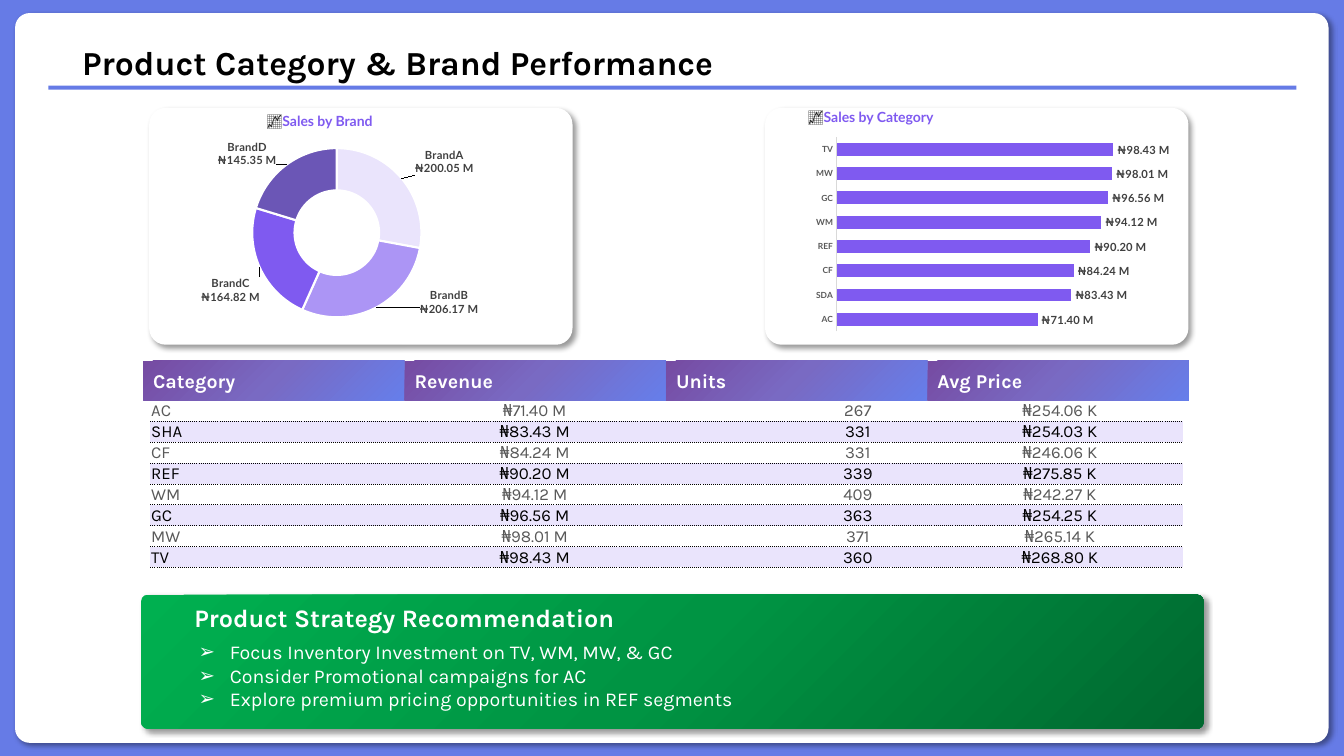
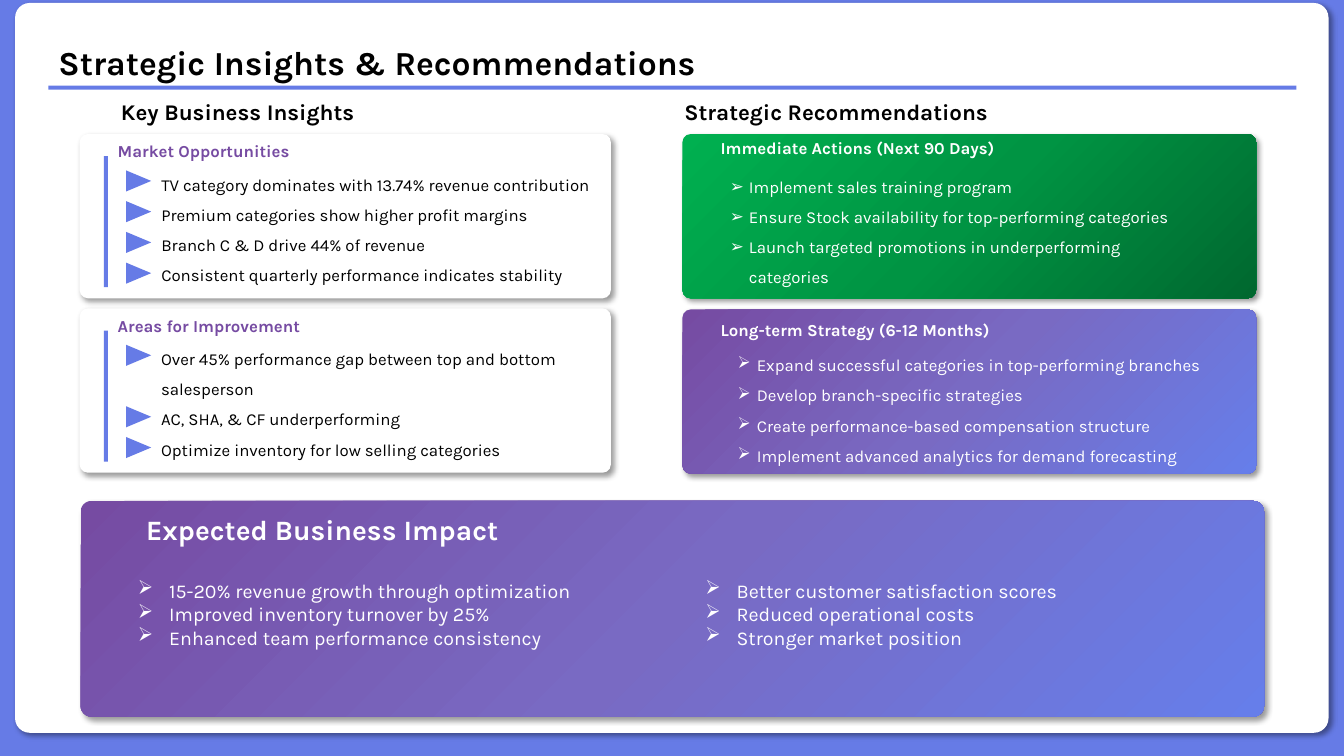
from copy import deepcopy

from pptx import Presentation
from pptx.chart.data import CategoryChartData
from pptx.dml.color import RGBColor
from pptx.enum.chart import XL_CHART_TYPE, XL_LABEL_POSITION, XL_TICK_MARK
from pptx.enum.shapes import MSO_SHAPE
from pptx.enum.text import MSO_ANCHOR, MSO_AUTO_SIZE, PP_ALIGN
from pptx.oxml import parse_xml
from pptx.oxml.ns import nsdecls, qn
from pptx.util import Inches, Pt

color_of = RGBColor.from_string
BLUE, WHITE, BLACK = "667BE6", "FFFFFF", "000000"
VIOLET, PLUM, LILAC = "7F5AF0", "764BA2", "EAE4FC"
GREY, DARK_GREY, PALE_GREY = "595959", "404040", "D9D9D9"
PURPLE_BLEND = (PLUM, "796AC3", "667EEA")
GREEN_BLEND = ("00B050", "009443", "00682F")
NAIRA = '"₦"#,##0.00,,\\ "M"'

deck = Presentation()
deck.slide_width, deck.slide_height = Inches(13.333), Inches(7.5)
cell_size = deck.slide_height / 75


def panel(page, kind, area, fill, corner=None, shadow=False):
    shape = page.shapes.add_shape(kind, *[round(n * cell_size) for n in area])
    shape.shadow.inherit = False
    shape.line.fill.background()
    if corner is not None:
        shape.adjustments[0] = corner
    properties = shape._element.spPr
    if isinstance(fill, str):
        shape.fill.solid()
        shape.fill.fore_color.rgb = color_of(fill)
    else:
        stops = "".join(
            f'<a:gs pos="{i * 50000}"><a:srgbClr val="{stop}"/></a:gs>'
            for i, stop in enumerate(fill))
        properties.insert(2, parse_xml(
            f'<a:gradFill {nsdecls("a")} rotWithShape="1"><a:gsLst>{stops}</a:gsLst>'
            '<a:lin ang="2700000" scaled="0"/></a:gradFill>'))
    if shadow:
        properties.find(qn("a:effectLst")).append(parse_xml(
            f'<a:outerShdw {nsdecls("a")} blurRad="50800" dist="38100" dir="2700000" '
            'algn="tl" rotWithShape="0"><a:srgbClr val="000000">'
            '<a:alpha val="40000"/></a:srgbClr></a:outerShdw>'))
    return shape


def write(page, area, lines, size, color, bold=False, box=None, font="Karla",
          spacing=1.0, indent=0, align=PP_ALIGN.LEFT, anchor=MSO_ANCHOR.TOP):
    if box is None:
        box = page.shapes.add_textbox(0, 0, 0, 0)
    box.left, box.top, box.width, box.height = [round(n * cell_size) for n in area]
    box._element.getparent().append(box._element)
    frame = box.text_frame
    frame.text = "\n".join(lines)
    frame.word_wrap = True
    frame.auto_size = MSO_AUTO_SIZE.NONE
    frame.vertical_anchor = anchor
    for para in frame.paragraphs:
        para.alignment = align
        para.line_spacing = spacing
        para.space_before = para.space_after = Pt(0)
        margins = para._p.get_or_add_pPr()
        margins.set("marL", str(round(indent * cell_size)))
        margins.set("indent", str(round(-indent * cell_size)))
        bullet = '<a:buChar {} char="➢"/>' if indent else "<a:buNone {}/>"
        margins.append(parse_xml(bullet.format(nsdecls("a"))))
        for span in para.runs:
            span.font.name, span.font.size, span.font.bold = font, Pt(size), bold
            span.font.color.rgb = color_of(color)
    return box


backdrop = deck.slide_master.background.fill
backdrop.solid()
backdrop.fore_color.rgb = color_of(BLUE)

pages = []
for layout, title, title_width, card_top in (
        (1, "Product Category & Brand Performance", 72.9, 1.3),
        (4, "Strategic Insights & Recommendations", 68.8, 0.3)):
    page = deck.slides.add_slide(deck.slide_layouts[layout])
    panel(page, MSO_SHAPE.ROUNDED_RECTANGLE, (1.5, card_top, 130.3, 72.4), WHITE, 0.02, True)
    write(page, (3, 2.8, title_width, 5.9), [title], 24, BLACK, True, page.shapes.title,
          spacing=0.9, align=PP_ALIGN.CENTER, anchor=MSO_ANCHOR.BOTTOM)
    panel(page, MSO_SHAPE.RECTANGLE, (4.8, 8.5, 123.8, 0.4), BLUE)
    pages.append(page)
performance, strategy = pages

brands = {"BrandA": 200050000, "BrandB": 206170000, "BrandC": 164820000, "BrandD": 145350000}
categories = {"AC": 71400000, "SDA": 83430000, "CF": 84240000, "REF": 90200000,
              "WM": 94120000, "GC": 96560000, "MW": 98010000, "TV": 98430000}
charts = []
for kind, values, card_left, chart_area, plot_box, title, title_area in (
        (XL_CHART_TYPE.DOUGHNUT, brands, 14.8, (16.1, 12.3, 34.3, 21.8),
         (0.26, 0.11, 0.49, 0.77), "Sales by Brand", (25.5, 10.5, 15.5, 2.8)),
        (XL_CHART_TYPE.BAR_CLUSTERED, categories, 75.9, (76.5, 12.3, 40.8, 21.9),
         (0.16, 0.06, 0.82, 0.88), "Sales by Category", (79.2, 10.1, 17, 2.8))):
    panel(performance, MSO_SHAPE.ROUNDED_RECTANGLE, (card_left, 10.7, 42, 23.5), WHITE, 0.07, True)
    data = CategoryChartData()
    data.categories = list(values)
    data.add_series("Series 1", list(values.values()))
    chart = performance.shapes.add_chart(
        kind, *[round(n * cell_size) for n in chart_area], data).chart
    chart.has_title = chart.has_legend = False
    chart.font.name, chart.font.size = "Lato", Pt(10)
    chart.font.color.rgb = color_of(BLACK)
    plot_area = chart._chartSpace.chart.plotArea
    for old_layout in plot_area.findall(qn("c:layout")):
        plot_area.remove(old_layout)
    sides = "".join(f'<c:{side} val="{share}"/>' for side, share in zip("xywh", plot_box))
    plot_area.insert(0, parse_xml(
        f'<c:layout {nsdecls("c")}><c:manualLayout><c:layoutTarget val="inner"/>'
        f'<c:xMode val="edge"/><c:yMode val="edge"/>{sides}</c:manualLayout></c:layout>'))
    labels = chart.plots[0].series[0].data_labels
    labels.show_value = True
    labels.number_format, labels.number_format_is_linked = NAIRA, False
    labels.font.name, labels.font.size, labels.font.bold = "Lato", Pt(8), True
    labels.font.color.rgb = color_of(DARK_GREY)
    charts.append(chart)
    caption = write(performance, title_area, ["📈"], 11, BLACK, True, font="Lato")
    span = caption.text_frame.paragraphs[0].add_run()
    span.text = title
    span.font.name, span.font.size, span.font.bold = "Lato", Pt(10), True
    span.font.color.rgb = color_of(VIOLET)

doughnut, bars = charts
ring = doughnut.plots[0]
ring.vary_by_categories = True
ring._element.find(qn("c:holeSize")).set("val", "60")
for i, color in enumerate((LILAC, "AC95F5", VIOLET, "6B56B6")):
    slice_format = ring.series[0].points[i].format
    slice_format.fill.solid()
    slice_format.fill.fore_color.rgb = color_of(color)
    slice_format.line.color.rgb = color_of(WHITE)
    slice_format.line.width = Pt(1.5)
ring_labels = ring.series[0].data_labels
ring_labels.show_category_name = True
label_list = ring_labels._element
label_list.find(qn("c:showBubbleSize")).addnext(
    parse_xml(f'<c:separator {nsdecls("c")}>\n</c:separator>'))
label_parts = [part for part in label_list if part.tag != qn("c:showLeaderLines")]
for i, (across, down) in enumerate(((0.17, -0.14), (0.24, 0.06), (-0.14, 0.14), (-0.15, -0.13))):
    label = parse_xml(
        f'<c:dLbl {nsdecls("c")}><c:idx val="{i}"/><c:layout><c:manualLayout>'
        f'<c:x val="{across}"/><c:y val="{down}"/></c:manualLayout></c:layout></c:dLbl>')
    label.extend(deepcopy(part) for part in label_parts)
    label_list.insert(i, label)

bar_plot = bars.plots[0]
bar_plot.gap_width = 90
bar_plot.vary_by_categories = False
bar_plot.series[0].format.fill.solid()
bar_plot.series[0].format.fill.fore_color.rgb = color_of(VIOLET)
bar_plot.series[0].data_labels.position = XL_LABEL_POSITION.OUTSIDE_END
bars.value_axis.visible = bars.value_axis.has_major_gridlines = False
bars.value_axis.minimum_scale, bars.value_axis.maximum_scale = 0, 120000000
axis = bars.category_axis
axis.major_tick_mark = XL_TICK_MARK.NONE
axis.format.line.color.rgb = color_of(PALE_GREY)
axis.format.line.width = Pt(0.75)
axis.tick_labels.font.name = "Lato"
axis.tick_labels.font.size, axis.tick_labels.font.bold = Pt(6), True
axis.tick_labels.font.color.rgb = color_of(GREY)

for i, heading in enumerate(("Category", "Revenue", "Units", "Avg Price")):
    area = (14.2 + 25.94 * i, 35.8, 25.9, 3.9)
    header = panel(performance, MSO_SHAPE.RECTANGLE, area, PURPLE_BLEND)
    write(performance, area, [heading], 14, WHITE, True, header, anchor=MSO_ANCHOR.MIDDLE)

rows = (("AC", "₦71.40 M", "267", "₦254.06 K"),
        ("SHA", "₦83.43 M", "331", "₦254.03 K"),
        ("CF", "₦84.24 M", "331", "₦246.06 K"),
        ("REF", "₦90.20 M", "339", "₦275.85 K"),
        ("WM", "₦94.12 M", "409", "₦242.27 K"),
        ("GC", "₦96.56 M", "363", "₦254.25 K"),
        ("MW", "₦98.01 M", "371", "₦265.14 K"),
        ("TV", "₦98.43 M", "360", "₦268.80 K"))
table = performance.shapes.add_table(
    8, 4, *[round(n * cell_size) for n in (14.9, 39.7, 102.4, 16.6)]).table
table.first_row = table.horz_banding = False
table._tbl.tblPr.find(qn("a:tableStyleId")).text = "{2D5ABB26-0587-4C30-8999-92F81FD0307C}"
for column, width in zip(table.columns, (24.8, 26.7, 26.5, 24.5)):
    column.width = round(width * cell_size)
for r, row in enumerate(rows):
    for c, value in enumerate(row):
        cell = table.cell(r, c)
        cell.text_frame.text = value
        cell.vertical_anchor = MSO_ANCHOR.BOTTOM
        cell.margin_left = round((11 if c == 2 else 0.1) * cell_size)
        cell.margin_right = cell.margin_top = round(0.1 * cell_size)
        cell.margin_bottom = 0
        para = cell.text_frame.paragraphs[0]
        para.alignment = PP_ALIGN.CENTER if c else PP_ALIGN.LEFT
        font = para.runs[0].font
        font.name, font.size = "Karla", Pt(12)
        font.color.rgb = color_of(BLACK if r % 2 else GREY)
        if r % 2:
            cell.fill.solid()
            cell.fill.fore_color.rgb = color_of(LILAC)
        else:
            cell.fill.background()
        cell._tc.get_or_add_tcPr().insert(0, parse_xml(
            f'<a:lnB {nsdecls("a")} w="6350"><a:solidFill><a:srgbClr val="{BLACK}"/>'
            '</a:solidFill><a:prstDash val="sysDot"/></a:lnB>'))

panel(performance, MSO_SHAPE.ROUNDED_RECTANGLE, (14, 59, 105.4, 13.3), GREEN_BLEND, 0.05, True)
write(performance, (18.3, 59.3, 46.9, 4), ["Product Strategy Recommendation"], 18, WHITE, True)
write(performance, (18.7, 63, 90.2, 8.1),
      ["Focus Inventory Investment on TV, WM, MW, & GC",
       "Consider Promotional campaigns for AC",
       "Explore premium pricing opportunities in REF segments"],
      14, WHITE, box=performance.placeholders[1], indent=3.1)

for left, heading, holder in ((11, "Key Business Insights", 1),
                              (66.9, "Strategic Recommendations", 3)):
    write(strategy, (left, 9.2, 40, 3.7), [heading], 16, BLACK, True,
          strategy.placeholders[holder])

for top, heading, list_width, holder, marked_rows, insights in (
        (13.3, "Market Opportunities", 45.6, strategy.placeholders[2], (0, 1, 2, 3),
         ["TV category dominates with 13.74% revenue contribution",
          "Premium categories show higher profit margins",
          "Branch C & D drive 44% of revenue",
          "Consistent quarterly performance indicates stability"]),
        (30.6, "Areas for Improvement", 44.6, None, (0, 2, 3),
         ["Over 45% performance gap between top and bottom salesperson",
          "AC, SHA, & CF underperforming",
          "Optimize inventory for low selling categories"])):
    panel(strategy, MSO_SHAPE.ROUNDED_RECTANGLE, (7.9, top, 52.7, 16.3), WHITE, 0.05, True)
    write(strategy, (10.7, top + 0.2, 23.7, 3.1), [heading], 12, PLUM, True)
    panel(strategy, MSO_SHAPE.RECTANGLE, (10.3, top + 2.2, 0.4, 13), BLUE)
    for row in marked_rows:
        marker = panel(strategy, MSO_SHAPE.ISOSCELES_TRIANGLE,
                       (12.7, top + 3.4 + 3.05 * row, 2.1, 2.5), BLUE)
        marker.rotation = 90
    write(strategy, (15, top + 2.5, list_width, 12.8), insights, 12, BLACK,
          box=holder, spacing=1.5)

for top, blend, heading, heading_top, list_area, holder, actions in (
        (13.3, GREEN_BLEND, "Immediate Actions (Next 90 Days)", 13.2,
         (71.4, 16, 45.6, 12.8), strategy.placeholders[4],
         ["Implement sales training program",
          "Ensure Stock availability for top-performing categories",
          "Launch targeted promotions in underperforming categories"]),
        (30.7, PURPLE_BLEND, "Long-term Strategy (6-12 Months)", 31.2,
         (72.2, 33.7, 51.3, 12.8), None,
         ["Expand successful categories in top-performing branches",
          "Develop branch-specific strategies",
          "Create performance-based compensation structure",
          "Implement advanced analytics for demand forecasting"])):
    panel(strategy, MSO_SHAPE.ROUNDED_RECTANGLE, (67.7, top, 56.9, 16.3), blend, 0.05, True)
    write(strategy, (70.5, heading_top, 39, 3.7), [heading], 12, WHITE, True)
    write(strategy, list_area, actions, 12, WHITE, box=holder, spacing=1.5, indent=1.9)

panel(strategy, MSO_SHAPE.ROUNDED_RECTANGLE, (8, 49.7, 117.4, 21.4), PURPLE_BLEND, 0.05, True)
write(strategy, (13.5, 50.4, 42.2, 4.4), ["Expected Business Impact"], 20, WHITE, True)
for left, impacts in (
        (12.7, ["15-20% revenue growth through optimization",
                "Improved inventory turnover by 25%",
                "Enhanced team performance consistency"]),
        (69, ["Better customer satisfaction scores",
              "Reduced operational costs",
              "Stronger market position"])):
    write(strategy, (left, 56.9, 49.3, 8.1), impacts, 14, WHITE, indent=3.1)

deck.save("out.pptx")
